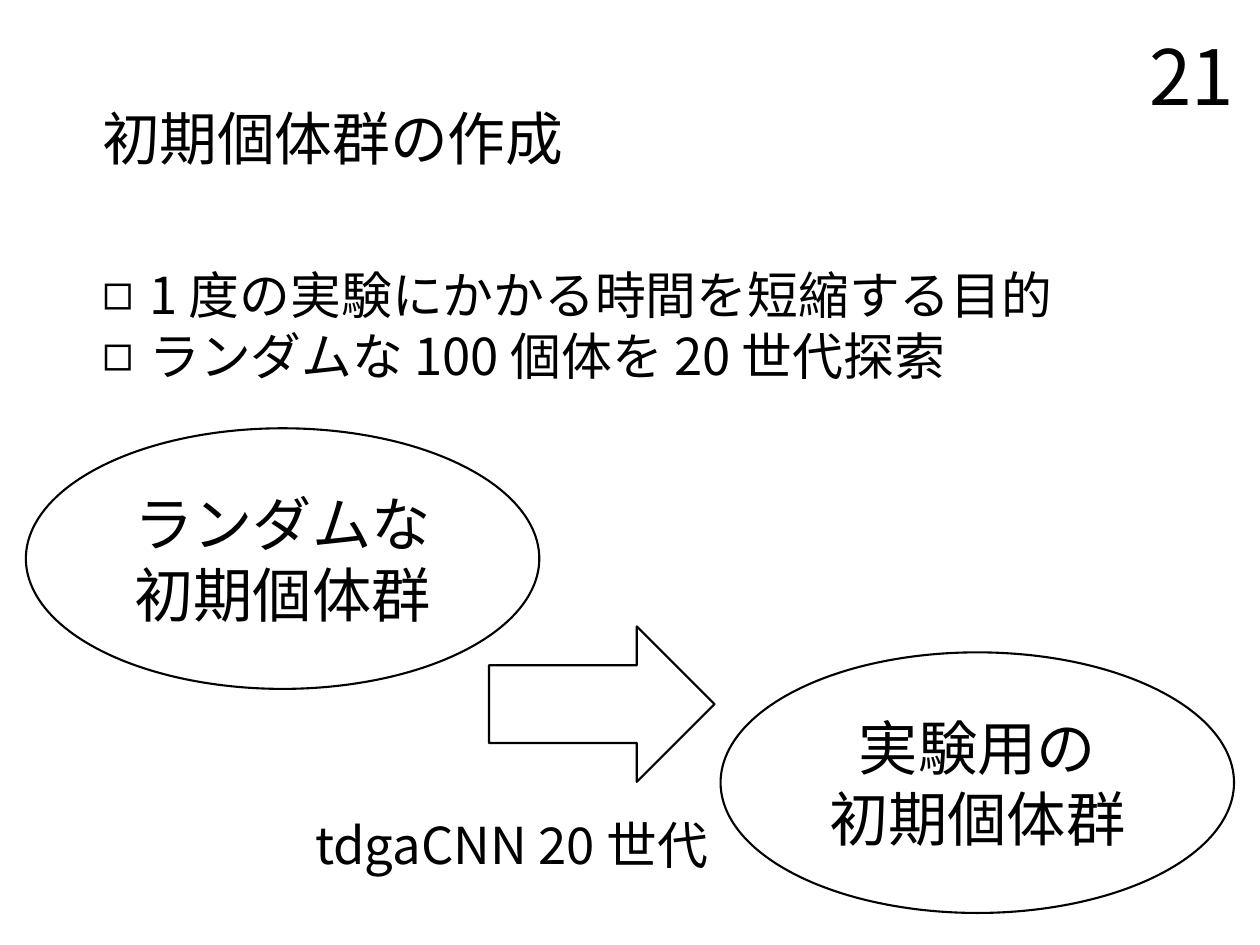
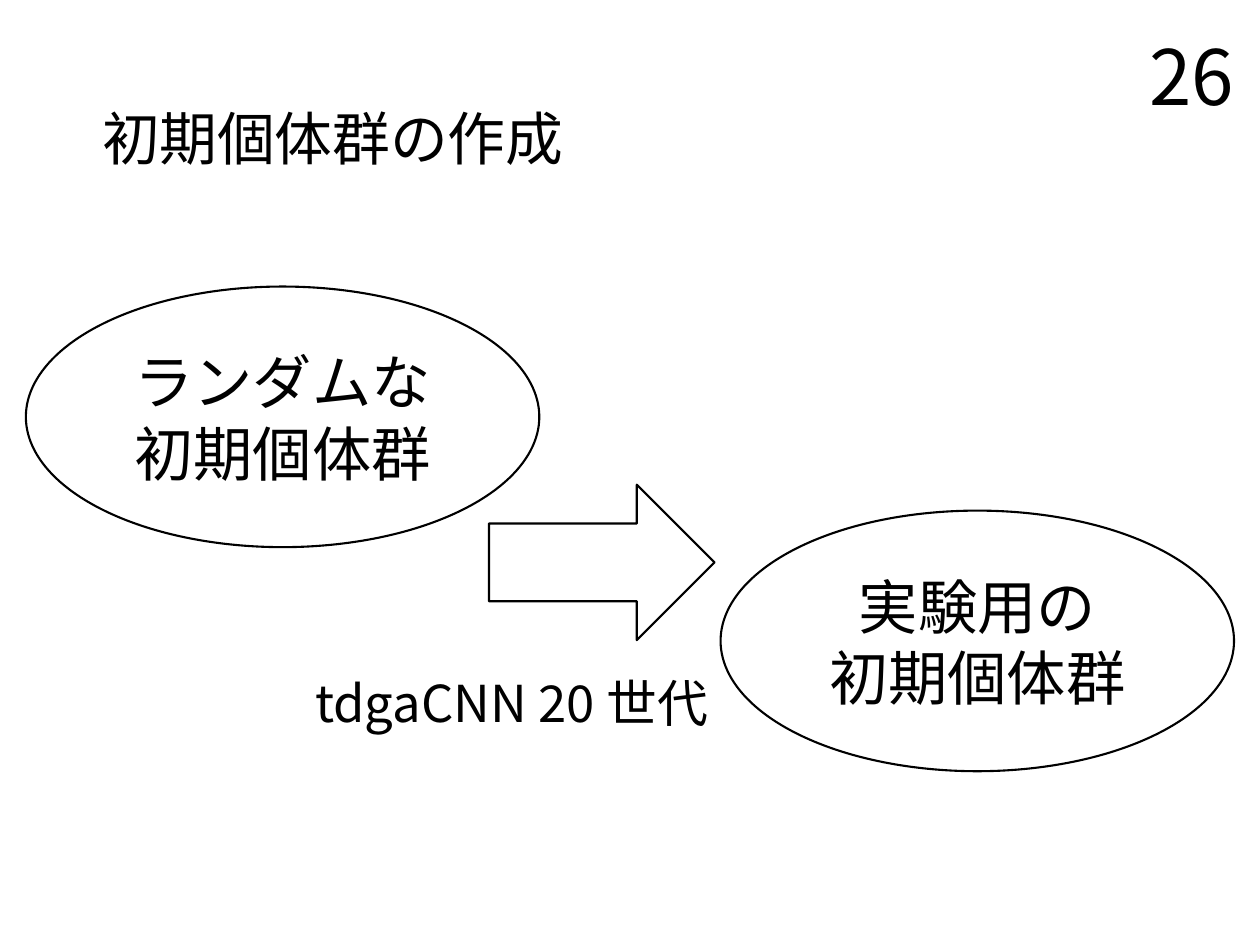
import pptx
import pptx.dml.color
import pptx.enum.shapes
import pptx.enum.text
import pptx.oxml.ns
import pptx.util
from lxml import etree

Inches = pptx.util.Inches
Pt = pptx.util.Pt
MSO_SHAPE = pptx.enum.shapes.MSO_SHAPE
PP_ALIGN = pptx.enum.text.PP_ALIGN
MSO_ANCHOR = pptx.enum.text.MSO_ANCHOR
qn = pptx.oxml.ns.qn

BLACK = pptx.dml.color.RGBColor(0x00, 0x00, 0x00)
WHITE = pptx.dml.color.RGBColor(0xFF, 0xFF, 0xFF)
FONT = "Noto Sans CJK JP"
TITLE = "初期個体群の作成"
TITLE_ONLY, TITLE_BODY = 5, 1  # layout indexes
OVAL_W, OVAL_H = 3.37, 1.71


def set_text(sp, text, size, align=PP_ALIGN.LEFT, anchor=MSO_ANCHOR.MIDDLE,
             wrap=True):
    """Write one paragraph per line of text, in the shared font."""
    tf = sp.text_frame
    tf.text = text
    tf.word_wrap = wrap
    tf.auto_size = pptx.enum.text.MSO_AUTO_SIZE.NONE
    tf.vertical_anchor = anchor
    for p in tf.paragraphs:
        p.alignment = align
        p.space_before = Pt(0)
        for r in p.runs:
            r.font.name = FONT
            r.font.size = Pt(size)
            r.font.color.rgb = BLACK
            ea = etree.SubElement(r.font._element, qn("a:ea"))
            ea.set("typeface", FONT)


def place(sp, left, top, width, height):
    sp.left, sp.top = Inches(left), Inches(top)
    sp.width, sp.height = Inches(width), Inches(height)


def add_page(prs, layout, number):
    """Start a slide with the shared title and page number."""
    s = prs.slides.add_slide(prs.slide_layouts[layout])
    place(s.shapes.title, 0.57, 0.33, 7.13, 1.2)
    set_text(s.shapes.title, TITLE, 27.3)
    s.shapes.title.text_frame.paragraphs[0].line_spacing = 0.9
    box = s.shapes.add_textbox(Inches(6.34), Inches(0.33),
                               Inches(1.86), Inches(0.33))
    set_text(box, str(number), 36, PP_ALIGN.RIGHT)
    return s


def add_bullets(s, lines, left, top, width, height):
    body = s.placeholders[1]
    place(body, left, top, width, height)
    set_text(body, "\n".join(lines), 24, anchor=MSO_ANCHOR.TOP)
    for p in body.text_frame.paragraphs:
        pPr = p._p.get_or_add_pPr()
        pPr.set("marL", str(Inches(0.31)))
        pPr.set("indent", str(-Inches(0.31)))
        etree.SubElement(pPr, qn("a:buChar")).set("char", "◻")


def add_outlined(shapes, kind, left, top, width, height):
    sp = shapes.add_shape(kind, Inches(left), Inches(top),
                          Inches(width), Inches(height))
    sp.shadow.inherit = False
    sp.fill.solid()
    sp.fill.fore_color.rgb = WHITE
    sp.line.color.rgb = BLACK
    sp.line.width = Pt(1)
    return sp


def add_flow(s, left, top):
    """Draw random population -> search -> initial population."""
    shapes = s.shapes.add_group_shape().shapes

    # Populations
    for text, dx, dy in (("ランダムな\n初期個体群", 0, 0),
                         ("実験用の\n初期個体群", 4.56, 1.47)):
        oval = add_outlined(shapes, MSO_SHAPE.OVAL, left + dx, top + dy,
                            OVAL_W, OVAL_H)
        set_text(oval, text, 28, PP_ALIGN.CENTER)

    # Search step
    add_outlined(shapes, MSO_SHAPE.RIGHT_ARROW, left + 3.04, top + 1.3,
                 1.48, 1.02)
    label = shapes.add_textbox(Inches(left + 1.8), Inches(top + 2.48),
                               Inches(2.86), Inches(0.5))
    set_text(label, "tdgaCNN 20 世代", 24, anchor=MSO_ANCHOR.TOP, wrap=False)


def main():
    prs = pptx.Presentation()
    prs.slide_width, prs.slide_height = Inches(8.27), Inches(6.2)

    # Purpose and flow
    s = add_page(prs, TITLE_BODY, 21)
    add_bullets(s, ["1 度の実験にかかる時間を短縮する目的",
                    "ランダムな 100 個体を 20 世代探索"],
                0.57, 1.68, 7.13, 0.91)
    add_flow(s, 0.17, 2.81)

    # Flow alone
    s = add_page(prs, TITLE_ONLY, 26)
    add_flow(s, 0.17, 1.88)

    prs.save("out.pptx")


if __name__ == "__main__":
    main()
